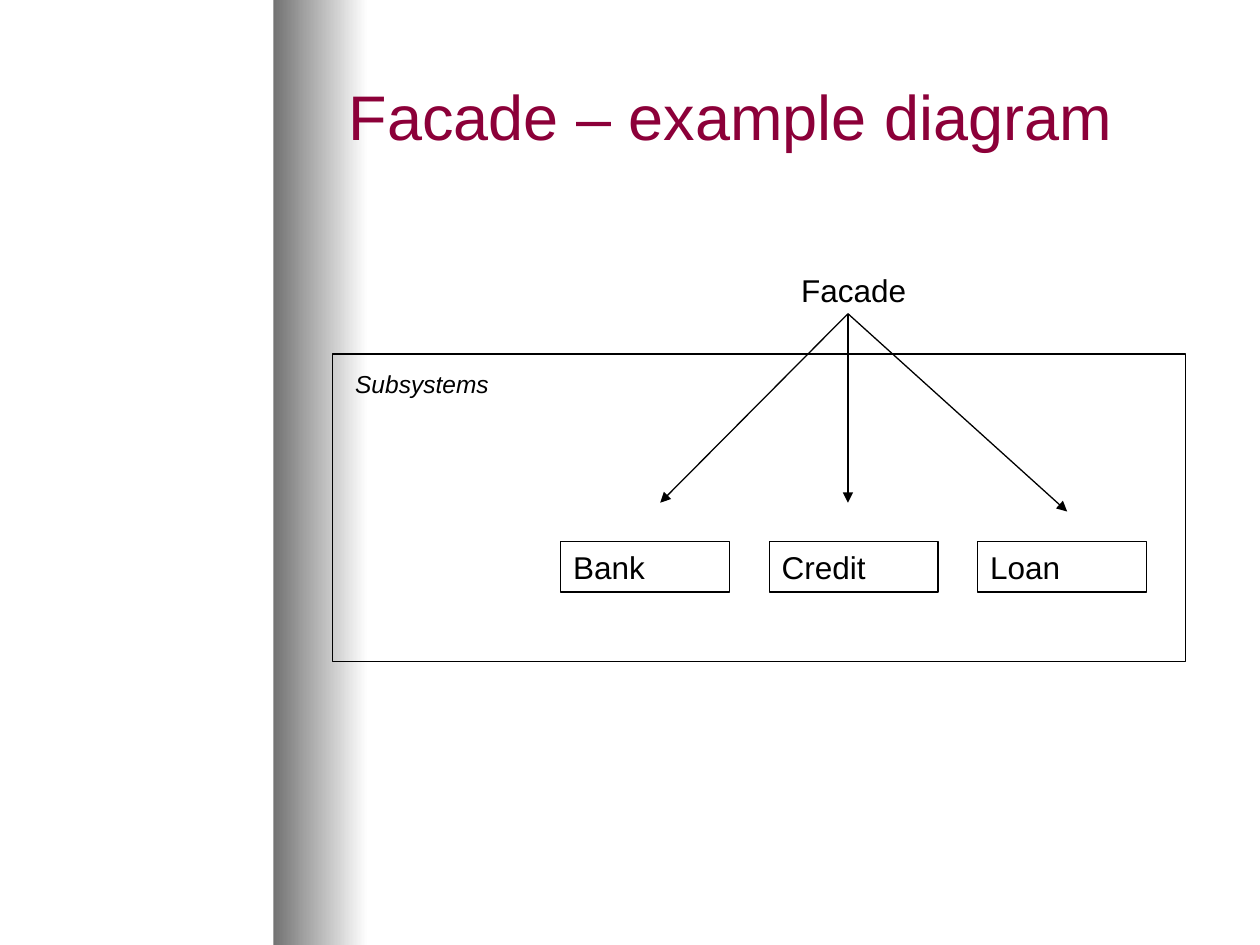
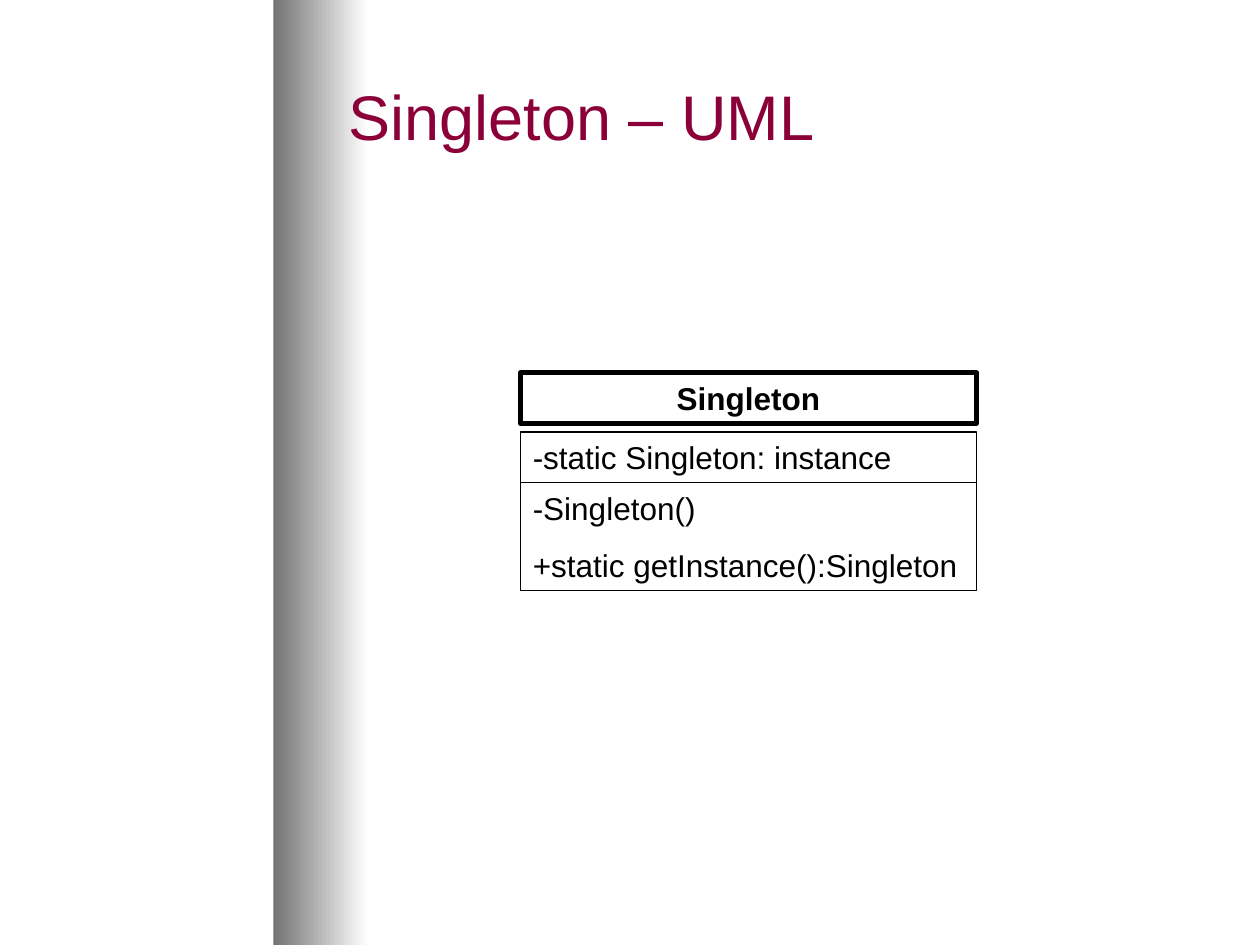
"""Build two design-pattern slides: a Facade diagram and a Singleton class."""
from dataclasses import dataclass

import lxml.etree
import pptx
import pptx.dml.color
import pptx.enum.shapes
import pptx.enum.text
import pptx.oxml.ns
import pptx.presentation
import pptx.shapes.autoshape
import pptx.slide
import pptx.util
from pptx.util import Inches

COLORS = {"title": "8C0039", "ink": "000000", "band": "737373", "paper": "FFFFFF"}
FONT = "Arial"
THIN = 0.75
LEFT = pptx.enum.text.PP_ALIGN.LEFT
CENTER = pptx.enum.text.PP_ALIGN.CENTER
TOP = pptx.enum.text.MSO_ANCHOR.TOP
MIDDLE = pptx.enum.text.MSO_ANCHOR.MIDDLE


@dataclass(frozen=True)
class Label:
    """Text with its place and style; border is the outline width in points."""

    lines: tuple[str, ...]
    left: float
    top: float
    width: float
    height: float
    size: float = 18
    color: str = "ink"
    bold: bool = False
    italic: bool = False
    align: pptx.enum.text.PP_ALIGN = LEFT
    anchor: pptx.enum.text.MSO_ANCHOR = TOP
    border: float = 0


@dataclass(frozen=True)
class Arrow:
    """Straight arrow between two points in inches."""

    start: tuple[float, float]
    end: tuple[float, float]


def rgb(name: str) -> pptx.dml.color.RGBColor:
    """Return a palette colour."""
    return pptx.dml.color.RGBColor.from_string(COLORS[name])


def add_rectangle(slide: pptx.slide.Slide, left: float, top: float, width: float,
                  height: float, border: float) -> pptx.shapes.autoshape.Shape:
    """Add an unfilled rectangle, outlined when border is above zero."""
    rectangle = slide.shapes.add_shape(
        pptx.enum.shapes.MSO_SHAPE.RECTANGLE,
        Inches(left), Inches(top), Inches(width), Inches(height))
    rectangle.shadow.inherit = False
    rectangle.fill.background()
    if border:
        rectangle.line.color.rgb = rgb("ink")
        rectangle.line.width = pptx.util.Pt(border)
    else:
        rectangle.line.fill.background()
    return rectangle


def add_label(slide: pptx.slide.Slide, label: Label) -> None:
    """Write a label, in an outlined rectangle if it has a border."""
    place = (label.left, label.top, label.width, label.height)
    if label.border:
        holder = add_rectangle(slide, *place, label.border)
    else:
        holder = slide.shapes.add_textbox(*map(Inches, place))
    frame = holder.text_frame
    frame.word_wrap = True
    frame.vertical_anchor = label.anchor
    frame.text = "\n".join(label.lines)
    for index, paragraph in enumerate(frame.paragraphs):
        paragraph.alignment = label.align
        if index:
            paragraph.space_before = pptx.util.Pt(11.2)
        paragraph.font.name = FONT
        paragraph.font.size = pptx.util.Pt(label.size)
        paragraph.font.bold = label.bold
        paragraph.font.italic = label.italic
        paragraph.font.color.rgb = rgb(label.color)


def add_arrow(slide: pptx.slide.Slide, arrow: Arrow) -> None:
    """Draw a thin line with a triangular head at its end."""
    connector = slide.shapes.add_connector(
        pptx.enum.shapes.MSO_CONNECTOR.STRAIGHT,
        *map(Inches, arrow.start + arrow.end))
    connector.line.color.rgb = rgb("ink")
    connector.line.width = pptx.util.Pt(THIN)
    qn = pptx.oxml.ns.qn
    lxml.etree.SubElement(connector.line._get_or_add_ln(), qn("a:tailEnd"), type="triangle")
    lxml.etree.SubElement(connector._element.spPr, qn("a:effectLst"))


def add_pattern_slide(deck: pptx.presentation.Presentation, title: str) -> pptx.slide.Slide:
    """Add a slide with the shared gradient band and title."""
    slide = deck.slides.add_slide(deck.slide_layouts[6])
    slide.background.fill.solid()
    slide.background.fill.fore_color.rgb = rgb("paper")
    band = add_rectangle(slide, 2.17, 0, 0.75, 7.5, 0)
    band.fill.gradient()
    band.fill.gradient_angle = 0
    for stop, name in zip(band.fill.gradient_stops, ("band", "paper")):
        stop.color.rgb = rgb(name)
    add_label(slide, Label((title,), 2.67, 0.25, 7, 1.33, size=36, color="title",
                           anchor=MIDDLE))
    return slide


def build_facade(deck: pptx.presentation.Presentation) -> None:
    """Show the facade pointing at its three subsystems."""
    slide = add_pattern_slide(deck, "Facade – example diagram")
    add_label(slide, Label(("Facade",), 6.26, 2.1, 1.34, 0.4))
    add_label(slide, Label(("Subsystems",), 2.72, 2.88, 1.89, 0.34, size=14, italic=True))
    for index, subsystem in enumerate(("Bank", "Credit", "Loan")):
        add_label(slide, Label((subsystem,), 4.45 + 1.655 * index, 4.3, 1.34, 0.4,
                               border=THIN))
    add_rectangle(slide, 2.64, 2.81, 6.77, 2.44, THIN)
    facade_foot = (6.73, 2.49)
    for target in ((5.24, 3.99), (6.73, 3.99), (8.47, 4.06)):
        add_arrow(slide, Arrow(facade_foot, target))


def build_singleton(deck: pptx.presentation.Presentation) -> None:
    """Show the Singleton class with its name, attribute and operations."""
    slide = add_pattern_slide(deck, "Singleton – UML")
    left, width = 4.13, 3.62
    compartments = (
        Label(("Singleton",), left, 2.96, width, 0.4, bold=True, align=CENTER, border=2.75),
        Label(("-static Singleton: instance",), left, 3.43, width, 0.4, border=THIN),
        Label(("-Singleton()", "+static getInstance():Singleton"),
              left, 3.83, width, 0.86, border=THIN),
    )
    for compartment in compartments:
        add_label(slide, compartment)


def main() -> None:
    """Build and save the deck."""
    deck = pptx.Presentation()
    deck.slide_width, deck.slide_height = Inches(10), Inches(7.5)
    build_facade(deck)
    build_singleton(deck)
    deck.save("out.pptx")


if __name__ == "__main__":
    main()
